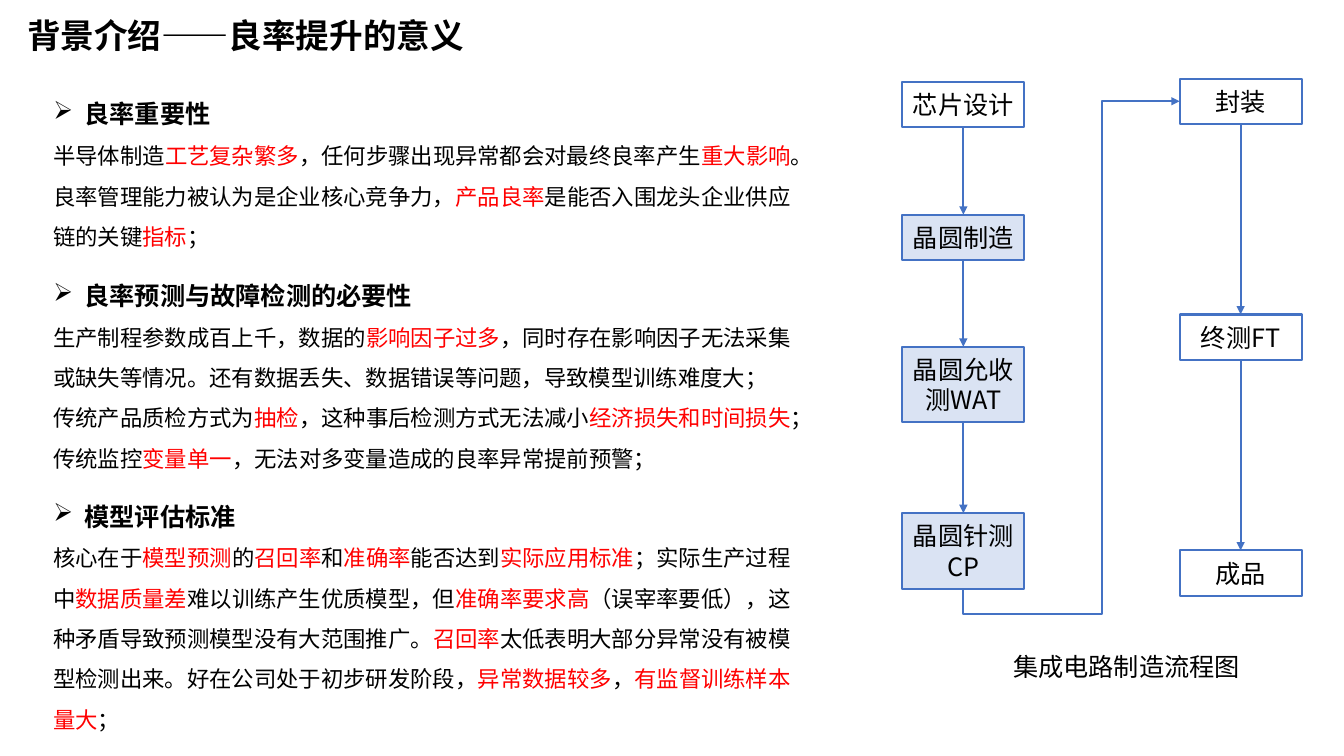
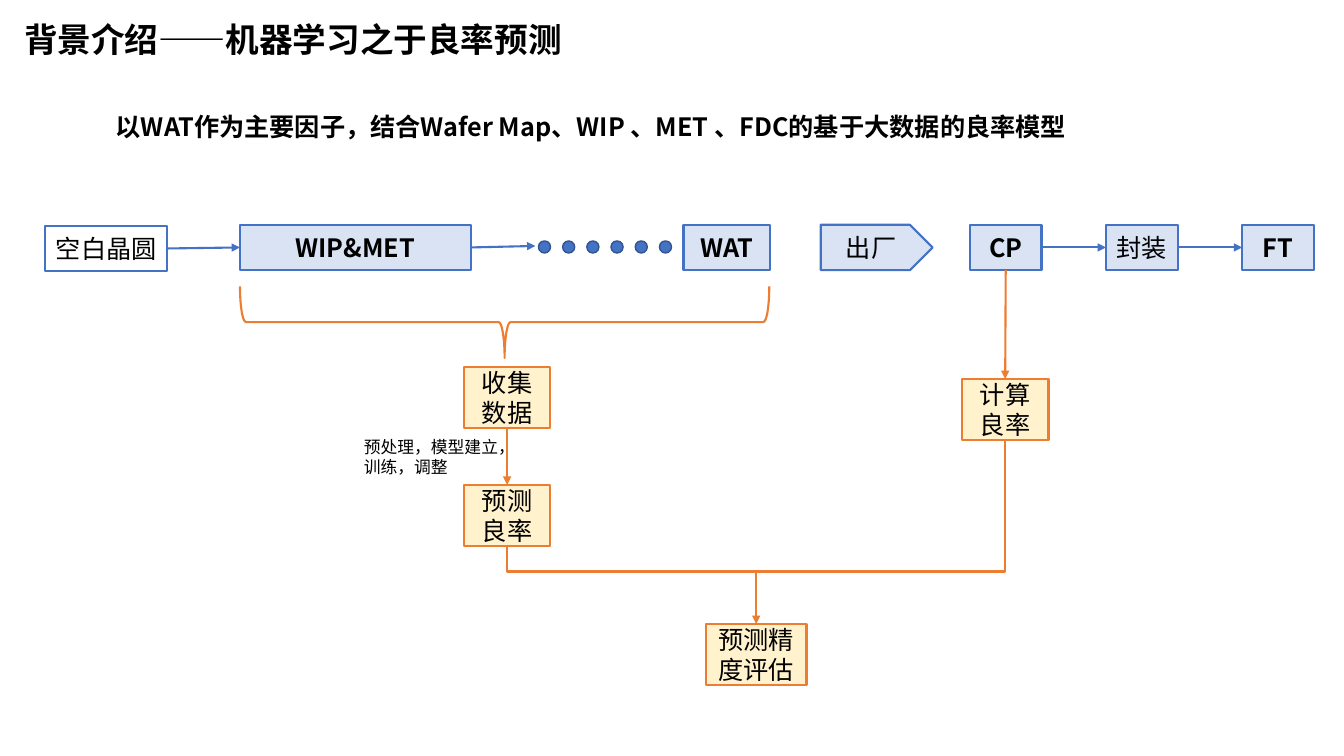
from itertools import pairwise

from lxml.etree import SubElement
from pptx import Presentation
from pptx.dml.color import RGBColor
from pptx.enum.shapes import MSO_CONNECTOR, MSO_SHAPE
from pptx.enum.text import MSO_ANCHOR, MSO_AUTO_SIZE, PP_ALIGN
from pptx.oxml.ns import qn
from pptx.util import Pt

PX = 9144  # EMU in one px, 100 px to the inch
FONT = "Noto Sans CJK SC"
BLACK = RGBColor(0x00, 0x00, 0x00)
RED = RGBColor(0xFF, 0x00, 0x00)
BLUE = RGBColor(0x44, 0x72, 0xC4)
NAVY = RGBColor(0x32, 0x54, 0x91)
PALE = RGBColor(0xDA, 0xE3, 0xF3)
ORANGE = RGBColor(0xED, 0x7D, 0x31)
CREAM = RGBColor(0xFF, 0xF2, 0xCC)
TOP, LEFT, BOTTOM, RIGHT = range(4)

TOPICS = [
    (78, 172, "良率重要性", [
        "半导体制造|工艺复杂繁多|，任何步骤出现异常都会对最终良率产生|重大影响|。"
        "良率管理能力被认为是企业核心竞争力，|产品良率|是能否入围龙头企业供应链的关键|指标|；"]),
    (258, 212, "良率预测与故障检测的必要性", [
        "生产制程参数成百上千，数据的|影响因子过多|，同时存在影响因子无法采集或缺失等情况。"
        "还有数据丢失、数据错误等问题，导致模型训练难度大；",
        "传统产品质检方式为|抽检|，这种事后检测方式无法减小|经济损失和时间损失|；",
        "传统监控|变量单一|，无法对多变量造成的良率异常提前预警；"]),
    (477, 253, "模型评估标准", [
        "核心在于|模型预测|的|召回率|和|准确率|能否达到|实际应用标准|；实际生产过程中|数据质量差|"
        "难以训练产生优质模型，但|准确率要求高|（误宰率要低），这种矛盾导致预测模型没有大范围推广。"
        "|召回率|太低表明大部分异常没有被模型检测出来。好在公司处于初步研发阶段，"
        "|异常数据较多|，|有监督训练样本量大|；"]),
]


def write(para, text, size=18, bold=False, align=None, space=None, bullet=None):
    """Fill a paragraph; every second part between bars is red."""
    para.alignment = align
    para.line_spacing = space
    for i, part in enumerate(text.split("|")):
        run = para.add_run()
        run.text = part
        font = run.font
        font.name, font.size, font.bold = FONT, Pt(size), bold
        font.color.rgb = RED if i % 2 else BLACK
        props = run._r.get_or_add_rPr()
        props.set("lang", "zh-CN")
        SubElement(props, qn("a:ea"), typeface=FONT)
    if bullet:
        props = para._p.get_or_add_pPr()
        props.set("marL", str(31 * PX))
        props.set("indent", str(-31 * PX))
        SubElement(props, qn("a:buChar"), char=bullet)


class Deck:
    def __init__(self):
        self.file = Presentation()
        self.file.slide_width = 1333 * PX
        self.file.slide_height = 750 * PX
        self.slide = None

    def page(self, title, x, y, w):
        self.slide = self.file.slides.add_slide(self.file.slide_layouts[6])
        self.text(x, y, w, 50, title, size=24, bold=True)

    def text(self, x, y, w, h, text, **fmt):
        box = self.slide.shapes.add_textbox(x * PX, y * PX, w * PX, h * PX)
        frame = box.text_frame
        frame.word_wrap = True
        frame.auto_size = MSO_AUTO_SIZE.SHAPE_TO_FIT_TEXT
        write(frame.paragraphs[0], text, **fmt)
        return frame

    def topic(self, y, h, head, lines):
        frame = self.text(43, y, 765, h, head, bold=True, space=1.5, bullet="➢")
        for line in lines:
            write(frame.add_paragraph(), line, size=16, space=1.5)

    def shape(self, kind, x, y, w, h, fill=None, color=BLUE, width=1.5):
        form = self.slide.shapes.add_shape(kind, x * PX, y * PX, w * PX, h * PX)
        form.shadow.inherit = False
        if fill is None:
            form.fill.background()
        else:
            form.fill.solid()
            form.fill.fore_color.rgb = fill
        form.line.color.rgb = color
        form.line.width = Pt(width)
        return form

    def box(self, x, y, w, h, text, fill=None, color=BLUE, bold=False,
            kind=MSO_SHAPE.RECTANGLE):
        form = self.shape(kind, x, y, w, h, fill, color)
        frame = form.text_frame
        frame.word_wrap = True
        frame.vertical_anchor = MSO_ANCHOR.MIDDLE
        write(frame.paragraphs[0], text, bold=bold, align=PP_ALIGN.CENTER)
        return form

    def link(self, start, end, color=BLUE, sides=(BOTTOM, TOP), head=True,
             kind=MSO_CONNECTOR.STRAIGHT):
        """Join two ends, each a shape or an (x, y) point."""
        line = self.slide.shapes.add_connector(kind, 0, 0, 0, 0)
        if isinstance(start, tuple):
            line.begin_x, line.begin_y = (v * PX for v in start)
        else:
            line.begin_connect(start, sides[0])
        if isinstance(end, tuple):
            line.end_x, line.end_y = (v * PX for v in end)
        else:
            line.end_connect(end, sides[1])
        line.line.color.rgb = color
        line.line.width = Pt(1.5)
        props = line.element.spPr
        if head:
            SubElement(props.find(qn("a:ln")), qn("a:tailEnd"), type="triangle")
        SubElement(props, qn("a:effectLst"))
        return line

    def bend(self, start, end, side, color=BLUE, turn=None, head=True):
        """Drop 25 px below start, go right (to x = turn), then up to end."""
        line = self.link(start, end, color, (BOTTOM, side), head,
                         MSO_CONNECTOR.ELBOW)
        x, y = start.left + start.width // 2, start.top + start.height
        if side == LEFT:
            ex, ey = end.left, end.top + end.height // 2
        else:
            ex, ey = end.left + end.width // 2, end.top + end.height
        rise, run = y - ey, ex - x
        line.left, line.top = (x + ex - rise) // 2, (y + ey - run) // 2
        line.width, line.height = rise, run
        frame = line.element.spPr.find(qn("a:xfrm"))
        for name, value in (("rot", "5400000"), ("flipH", "1"), ("flipV", "1")):
            frame.set(name, value)
        ratios = [-25 * PX / rise]
        if turn:
            ratios.append((turn * PX - x) / run)
        geom = line.element.spPr.find(qn("a:prstGeom"))
        geom.set("prst", f"bentConnector{len(ratios) + 2}")
        guides = geom.find(qn("a:avLst"))
        if guides is None:
            guides = SubElement(geom, qn("a:avLst"))
        for i, ratio in enumerate(ratios, 1):
            SubElement(guides, qn("a:gd"), name=f"adj{i}",
                       fmla=f"val {round(ratio * 100000)}")


def meaning(deck):
    deck.page("背景介绍——良率提升的意义", 17, 10, 534)
    for topic in TOPICS:
        deck.topic(*topic)
    make = [deck.box(895, y, 121, h, text, fill) for y, h, text, fill in (
        (81, 45, "芯片设计", None), (213, 45, "晶圆制造", PALE),
        (344, 75, "晶圆允收测WAT", PALE), (509, 75, "晶圆针测CP", PALE))]
    test = [deck.box(1170, 78 + 234 * i, 121, 45, text)
            for i, text in enumerate(("封装", "终测FT", "成品"))]
    for chain in (make, test):
        for pair in pairwise(chain):
            deck.link(*pair)
    deck.bend(make[-1], test[0], LEFT, turn=1093)
    deck.text(995, 641, 247, 40, "集成电路制造流程图")


def learning(deck):
    deck.page("背景介绍——机器学习之于良率预测", 14, 14, 652)
    deck.text(105, 91, 1228, 50,
              "以WAT作为主要因子，结合Wafer Map、WIP 、MET 、FDC的基于大数据的良率模型",
              bold=True, space=1.5)

    across = (RIGHT, LEFT)
    blank = deck.box(45, 224, 121, 45, "空白晶圆")
    wip = deck.box(238, 223, 229, 45, "WIP&MET", PALE, bold=True)
    deck.link(blank, wip, sides=across)
    deck.link(wip, (531, 244), sides=across)
    for x in range(534, 655, 24):
        deck.shape(MSO_SHAPE.OVAL, x, 239, 12, 12, BLUE, NAVY, 1)
    deck.box(678, 223, 86, 45, "WAT", PALE, bold=True)
    deck.box(814, 223, 111, 45, "出厂", PALE, kind=MSO_SHAPE.PENTAGON)
    tests = [deck.box(962 + 135 * i, 223, 71, 45, text, PALE, bold=text != "封装")
             for i, text in enumerate(("CP", "封装", "FT"))]
    for pair in pairwise(tests):
        deck.link(*pair, sides=across)

    brace = deck.shape(MSO_SHAPE.LEFT_BRACE, 465, 57, 71, 525, color=ORANGE)
    brace.rotation = 270
    data, guess, rate, score = (
        deck.box(x, y, w, 61, text, CREAM, ORANGE) for x, y, w, text in (
            (460, 364, 86, "收集数据"), (460, 481, 86, "预测良率"),
            (954, 376, 86, "计算良率"), (700, 619, 100, "预测精度评估")))
    deck.link(data, guess, ORANGE)
    deck.link(tests[0], rate, ORANGE)
    deck.bend(guess, rate, BOTTOM, ORANGE, head=False)
    deck.link((750, 567), score, ORANGE)
    deck.text(351, 428, 157, 50, "预处理，模型建立，训练，调整", size=12)


def main():
    deck = Deck()
    meaning(deck)
    learning(deck)
    deck.file.save("out.pptx")


if __name__ == "__main__":
    main()
